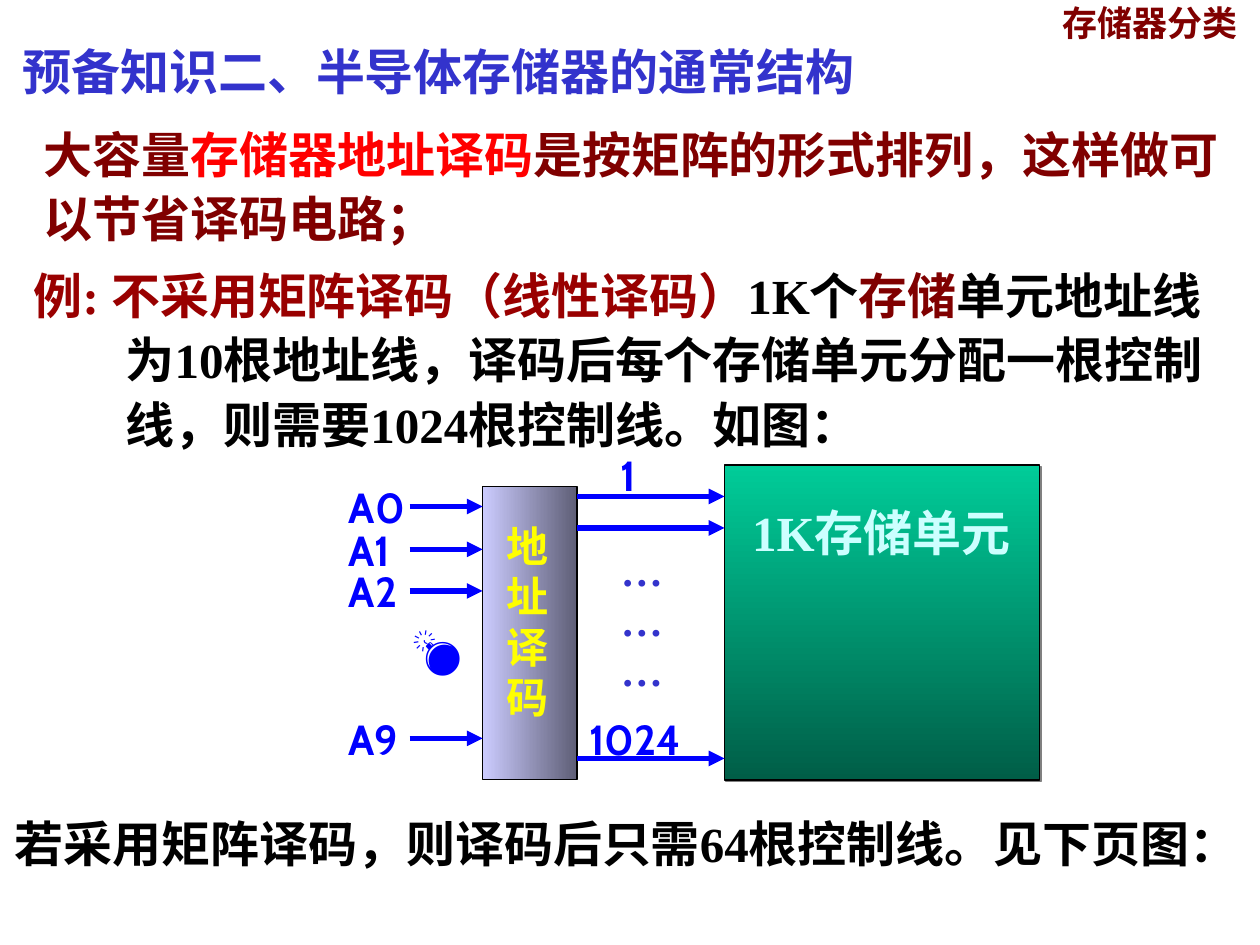
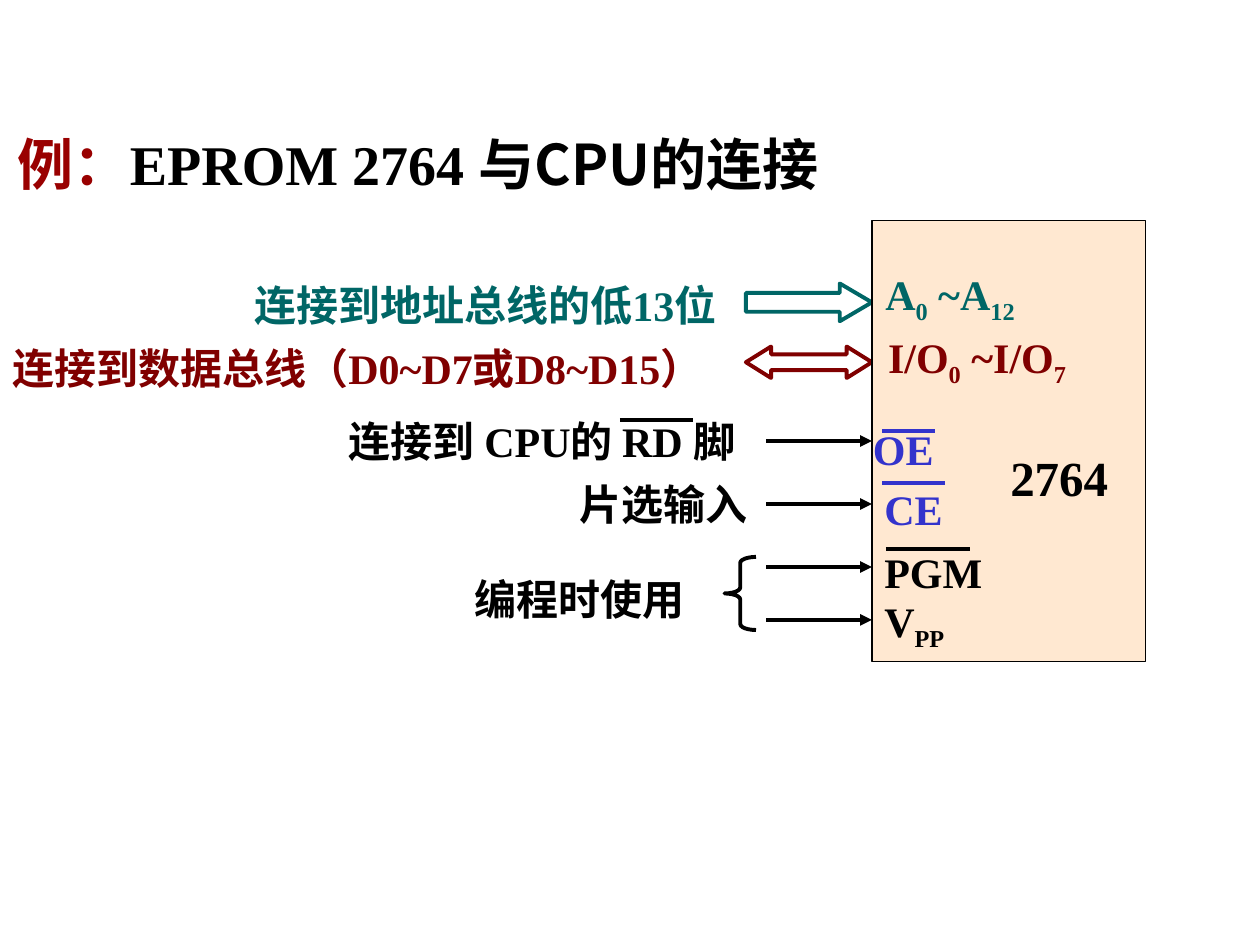
"""Builds two lecture slides on memory address decoding and wiring an EPROM."""
from dataclasses import dataclass

from lxml.etree import SubElement
from pptx import Presentation
from pptx.dml.color import RGBColor
from pptx.enum.shapes import MSO_CONNECTOR, MSO_SHAPE
from pptx.enum.text import MSO_ANCHOR, MSO_AUTO_SIZE, PP_ALIGN
from pptx.oxml.ns import qn
from pptx.util import Pt

PX = 9144
SLIDE_SIZE = (1000, 750)
TITLE_ONLY = 5


@dataclass(frozen=True)
class Theme:
    """Colours, fonts and type sizes shared by the slides."""
    black: str = "000000"
    maroon: str = "800000"
    crimson: str = "990000"
    red: str = "FF0000"
    indigo: str = "3333CC"
    blue: str = "0000FF"
    teal: str = "006666"
    yellow: str = "FFFF00"
    ice: str = "CCFFFF"
    peach: str = "FFE8D1"
    shadow: str = "808080"
    memory: tuple = ("00CC99", "005E47")
    decoder: tuple = ("CCCCFF", "5E5E76")
    serif: str = "Times New Roman"
    han: str = "Noto Sans CJK SC"
    label: str = "Cabin"
    symbol: str = "Lato"
    tag: int = 20
    small: int = 24
    text: int = 28
    heading: int = 32
    thin: float = 0.75
    medium: float = 2.25
    thick: float = 3


T = Theme()


@dataclass
class Label:
    """Text in a box; underscores enclose subscripts."""
    box: tuple
    runs: list
    size: int = T.small
    align: PP_ALIGN = PP_ALIGN.LEFT
    spacing: float = 1.0
    hanging: int = 0
    wrap: bool = True
    anchor: MSO_ANCHOR = MSO_ANCHOR.TOP


SECTION = Label((833, -3, 183, 42), [("存储器分类", T.han, T.maroon)], T.tag,
                anchor=MSO_ANCHOR.MIDDLE)
DECODING_NOTES = [
    Label((8, 23, 901, 62), [("预备知识二、半导体存储器的通常结构", T.han, T.indigo)],
          T.text, spacing=1.1),
    Label((25, 89, 975, 113), [
        ("大容量", T.han, T.maroon), ("存储器地址译码", T.han, T.red),
        ("是按矩阵的形式排列，这样做可以节省译码电路；", T.han, T.maroon)],
        T.text, spacing=1.1),
    Label((17, 201, 958, 164), [
        ("例: 不采用矩阵译码（线性译码）", T.serif, T.crimson),
        ("1K个", T.serif, T.black), ("存储", T.han, T.maroon),
        ("单元地址线为10根地址线，译码后每个存储单元分配一根控制线，则需要1024根控制线。如图：",
         T.serif, T.black)], T.text, spacing=1.1, hanging=73),
    Label((2, 636, 980, 62), [
        ("若采用矩阵译码，则译码后只需64根控制线。见下页图：", T.serif, T.black)],
        T.text, spacing=1.1),
]
MEMORY_BOX = (575, 369, 250, 250)
DECODER_BOX = (383, 386, 75, 233)
ADDRESS_LINES = {"A0": 402, "A1": 436, "A2": 469, "A9": 586}
ADDRESS_LEFT, ADDRESS_START = 267, 325
CONTROL_LINES = (394, 419, 602)
DECODER_LABELS = [
    Label((392, 408, 58, 170), [("地址译码", T.label, T.yellow)]),
    Label((317, 486, 67, 57), [("💣", T.symbol, T.blue)], T.text),
    Label((483, 427, 50, 130), [("………", T.serif, T.indigo)]),
    Label((558, 394, 283, 57), [("1K", T.serif, T.ice), ("存储单元", T.han, T.ice)],
          T.text, PP_ALIGN.CENTER),
    Label((483, 352, 42, 50), [("1", T.label, T.blue)]),
    Label((458, 561, 108, 50), [("1024", T.label, T.blue)]),
]

EXAMPLE = Label((4, 104, 892, 58), [
    ("例：", T.han, T.crimson), ("EPROM 2764 ", T.serif, T.black),
    ("与CPU的连接", T.han, T.black)], T.heading, PP_ALIGN.JUSTIFY, 0.9)
CHIP_BOX = (692, 175, 217, 350)
BUSES = [
    (MSO_SHAPE.RIGHT_ARROW, (592, 225, 100, 30), 0.85, T.teal),
    (MSO_SHAPE.LEFT_RIGHT_ARROW, (592, 275, 100, 25), 0.8, T.maroon),
]
PIN_LINES = (350, 400, 450, 492)
PIN_START = 608
BRACE_BOX = (575, 442, 25, 58)
OVERLINES = [
    (700, 742, 342, T.indigo),
    (700, 750, 383, T.indigo),
    (703, 770, 436, T.black),
    (492, 550, 333, T.black),
]
WIRING_NOTES = [
    ((192, 217, 408, 50), "连接到地址总线的低13位", T.teal),
    ((0, 267, 592, 90), "连接到数据总线（D0~D7或D8~D15）", T.maroon),
    ((267, 325, 383, 50), "连接到 CPU的 RD 脚", T.black),
    ((450, 375, 175, 50), "片选输入", T.black),
    ((367, 450, 208, 50), "编程时使用", T.black),
]
BUS_PINS = [
    ((683, 208, 142, 56), "A_0_ ~A_12_", T.teal),
    ((692, 258, 167, 56), "I/O_0_ ~I/O_7_", T.maroon),
]
CONTROL_PINS = [
    ((683, 327, 108, 54), "OE", T.indigo),
    ((692, 375, 83, 54), "CE", T.indigo),
    ((692, 425, 108, 54), "PGM", T.black),
    ((692, 463, 108, 60), "V_PP_", T.black),
]
PART_NUMBER = Label((792, 350, 97, 57), [("2764", T.serif, T.black)], T.text, wrap=False)


def emu(lengths):
    return [length * PX for length in lengths]


def rgb(code):
    return RGBColor.from_string(code)


def write(holder, label):
    frame = holder.text_frame
    frame.word_wrap = label.wrap
    frame.auto_size = MSO_AUTO_SIZE.NONE
    frame.vertical_anchor = label.anchor
    paragraph = frame.paragraphs[0]
    paragraph.alignment = label.align
    paragraph.line_spacing = label.spacing
    if label.hanging:
        properties = paragraph._p.get_or_add_pPr()
        properties.set("marL", str(label.hanging * PX))
        properties.set("indent", str(-label.hanging * PX))
    for text, font, colour in label.runs:
        for index, part in enumerate(text.split("_")):
            if not part:
                continue
            run = paragraph.add_run()
            run.text = part
            run.font.name = font
            run.font.size = Pt(label.size)
            run.font.bold = True
            run.font.color.rgb = rgb(colour)
            properties = run._r.get_or_add_rPr()
            SubElement(properties, qn("a:ea")).set("typeface", T.han)
            if index % 2:
                properties.set("baseline", "-25000")


def add_label(slide, label):
    write(slide.shapes.add_textbox(*emu(label.box)), label)


def add_titled_slide(deck, label):
    slide = deck.slides.add_slide(deck.slide_layouts[TITLE_ONLY])
    title = slide.shapes.title
    title.left, title.top, title.width, title.height = emu(label.box)
    write(title, label)
    return slide


def add_outline(slide, kind, box, colour, weight):
    shape = slide.shapes.add_shape(kind, *emu(box))
    shape.shadow.inherit = False
    shape.fill.background()
    shape.line.color.rgb = rgb(colour)
    shape.line.width = Pt(weight)
    return shape


def add_gradient_box(slide, box, colours, angle):
    block = add_outline(slide, MSO_SHAPE.RECTANGLE, box, T.black, T.thin)
    block.fill.gradient()
    block.fill.gradient_angle = angle
    for stop, colour, position in zip(block.fill.gradient_stops, colours, (0, 1)):
        stop.color.rgb = rgb(colour)
        stop.position = position
    return block


def add_drop_shadow(shape):
    effects = shape._element.spPr.find(qn("a:effectLst"))
    shadow = SubElement(effects, qn("a:outerShdw"), blurRad="0", dist=str(Pt(1.4)),
                        dir="2700000", algn="ctr", rotWithShape="0")
    SubElement(shadow, qn("a:srgbClr"), val=T.shadow)


def add_line(slide, start, end, y, colour, weight, arrow=True):
    line = slide.shapes.add_connector(MSO_CONNECTOR.STRAIGHT, *emu((start, y, end, y)))
    line.line.color.rgb = rgb(colour)
    line.line.width = Pt(weight)
    if arrow:
        SubElement(line.line._get_or_add_ln(), qn("a:tailEnd"), type="triangle")
    SubElement(line._element.spPr, qn("a:effectLst"))
    return line


def build_decoding(deck):
    slide = add_titled_slide(deck, SECTION)
    for note in DECODING_NOTES:
        add_label(slide, note)
    memory = add_gradient_box(slide, MEMORY_BOX, T.memory, 270)
    add_drop_shadow(memory)
    add_gradient_box(slide, DECODER_BOX, T.decoder, 0)
    for name, y in ADDRESS_LINES.items():
        add_line(slide, ADDRESS_START, DECODER_BOX[0], y, T.blue, T.thick)
        add_label(slide, Label((ADDRESS_LEFT, y - 25, 67, 50), [(name, T.label, T.blue)]))
    decoder_right = DECODER_BOX[0] + DECODER_BOX[2]
    for y in CONTROL_LINES:
        add_line(slide, decoder_right, MEMORY_BOX[0], y, T.blue, T.thick)
    for label in DECODER_LABELS:
        add_label(slide, label)


def build_wiring(deck):
    slide = add_titled_slide(deck, EXAMPLE)
    for kind, box, head, colour in BUSES:
        bus = add_outline(slide, kind, box, colour, T.medium)
        bus.adjustments[0] = 0.5
        bus.adjustments[1] = head
    chip = add_outline(slide, MSO_SHAPE.RECTANGLE, CHIP_BOX, T.black, T.thin)
    chip.fill.solid()
    chip.fill.fore_color.rgb = rgb(T.peach)
    chip_middle = CHIP_BOX[1] + CHIP_BOX[3] // 2
    for y in PIN_LINES:
        line = add_line(slide, PIN_START, CHIP_BOX[0], y, T.black, T.medium)
        if y == chip_middle:
            line.end_connect(chip, 1)
    for start, end, y, colour in OVERLINES:
        add_line(slide, start, end, y, colour, T.medium, arrow=False)
    brace = add_outline(slide, MSO_SHAPE.LEFT_BRACE, BRACE_BOX, T.black, T.medium)
    brace.adjustments[0] = 0.19
    for group, align, spacing in ((WIRING_NOTES, PP_ALIGN.LEFT, 1.0),
                                  (BUS_PINS, PP_ALIGN.CENTER, 1.0),
                                  (CONTROL_PINS, PP_ALIGN.JUSTIFY, 1.1)):
        for box, text, colour in group:
            add_label(slide, Label(box, [(text, T.serif, colour)],
                                   align=align, spacing=spacing))
    add_label(slide, PART_NUMBER)


def main():
    deck = Presentation()
    deck.slide_width, deck.slide_height = emu(SLIDE_SIZE)
    build_decoding(deck)
    build_wiring(deck)
    deck.save("out.pptx")


if __name__ == "__main__":
    main()
